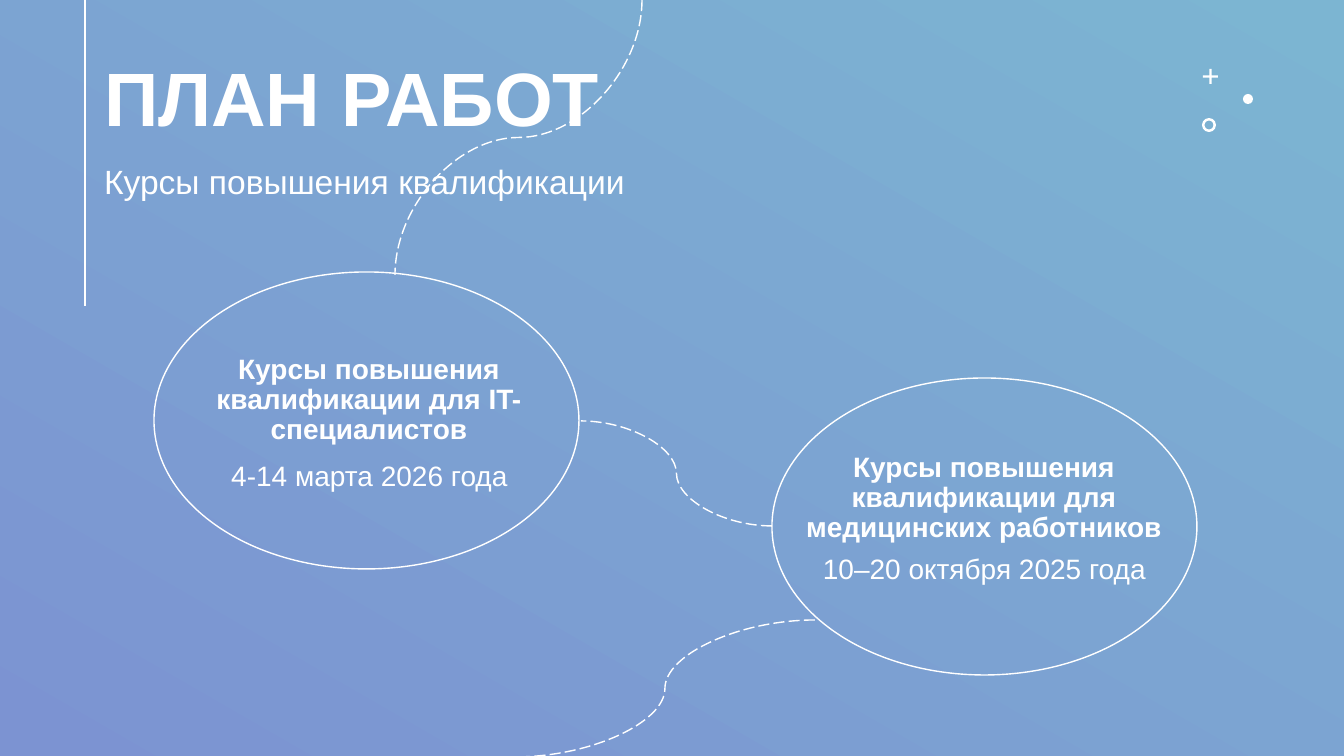
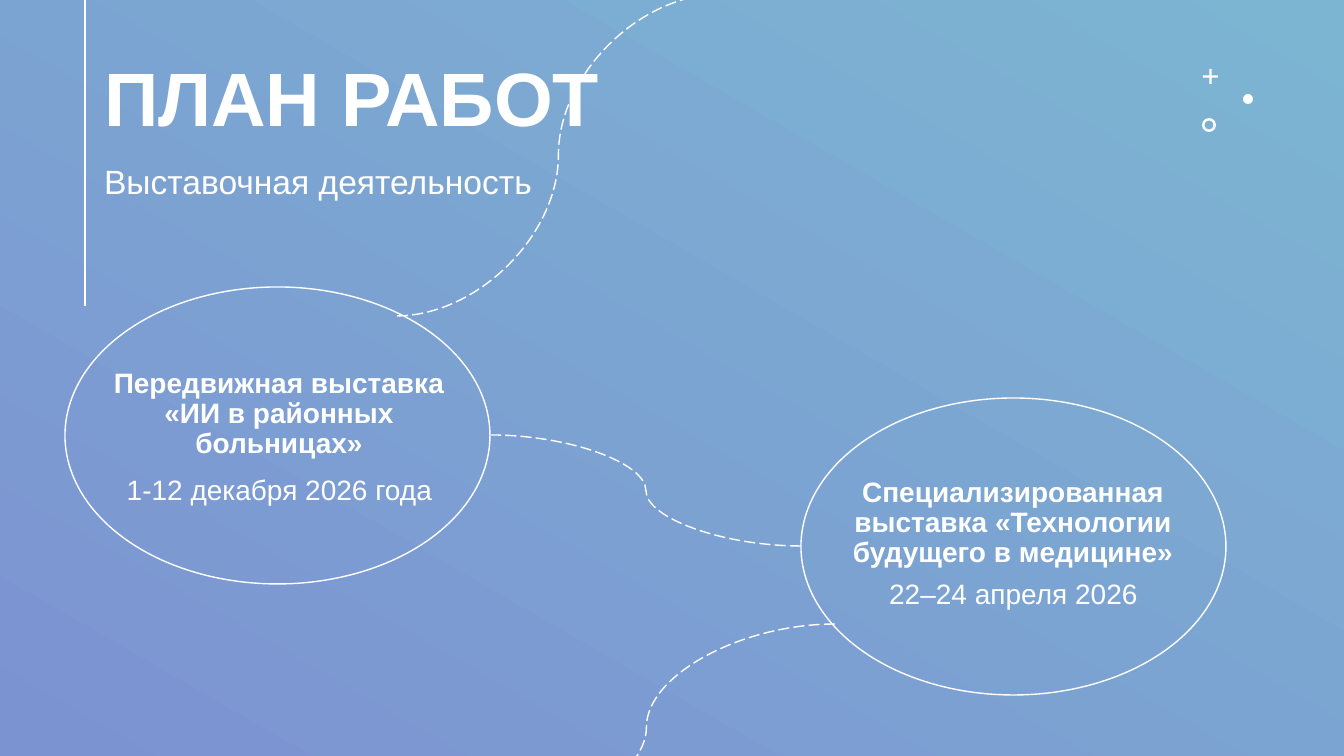
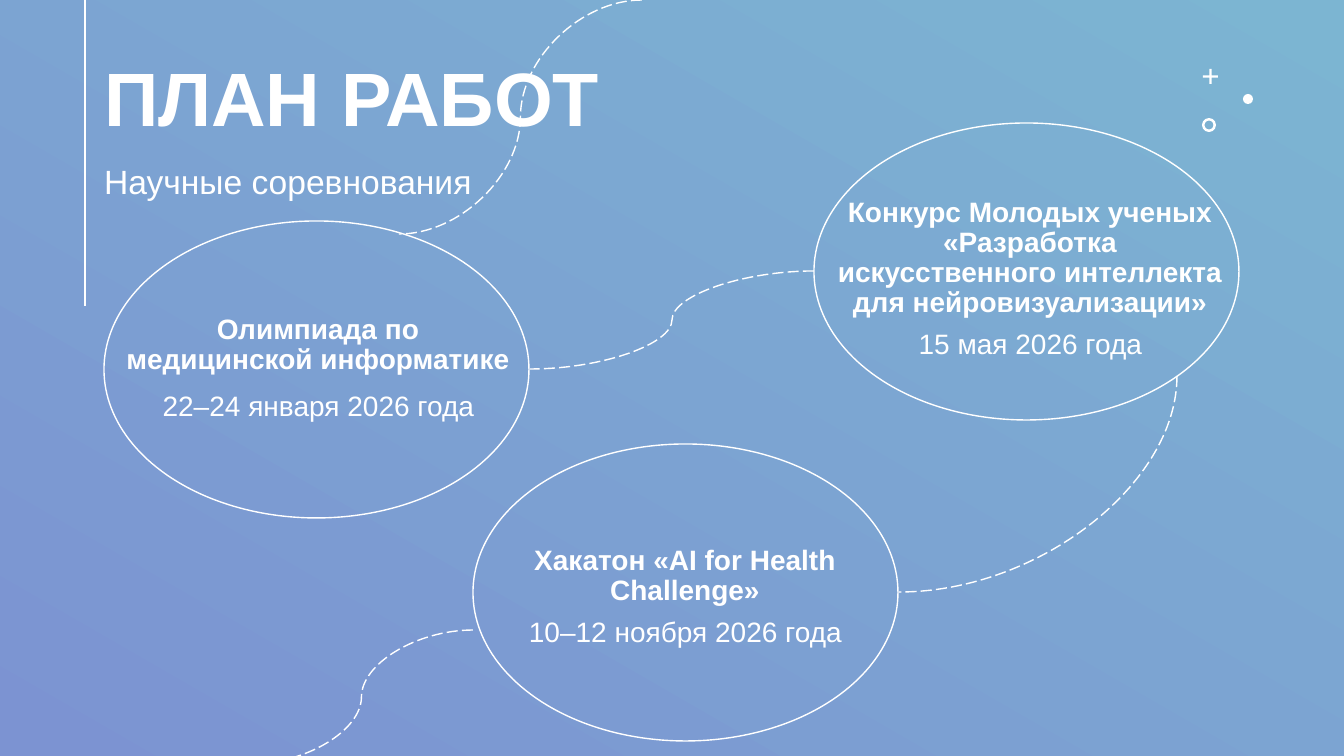
import pptx
import pptx.util
import pptx.dml.color
import pptx.enum.dml
import pptx.enum.shapes
import pptx.enum.text
import pptx.oxml.xmlchemy

PX = 9072
WHITE = "FFFFFF"
OVAL_WIDTH, OVAL_HEIGHT = 425, 297
DATE_HEIGHT, HEADING_HEIGHT = 47, 128
SHAPES = pptx.enum.shapes.MSO_SHAPE
ALIGN = pptx.enum.text.PP_ALIGN
ANCHOR = pptx.enum.text.MSO_ANCHOR
rgb = pptx.dml.color.RGBColor.from_string


def write(box, text, size, bold=False, align=ALIGN.CENTER, spacing=0.9, top=0):
    frame = box.text_frame
    frame_format = {
        "word_wrap": True,
        "auto_size": pptx.enum.text.MSO_AUTO_SIZE.NONE,
        "vertical_anchor": ANCHOR.BOTTOM,
        "margin_left": 0,
        "margin_top": top * PX,
        "margin_right": 0,
        "margin_bottom": 0,
    }
    for name, value in frame_format.items():
        setattr(frame, name, value)
    para = frame.paragraphs[0]
    para_format = {"alignment": align, "line_spacing": spacing, "space_before": 0}
    for name, value in para_format.items():
        setattr(para, name, value)
    span = para.add_run()
    span.text = text
    span_format = {"name": "Arial", "size": pptx.util.Pt(size), "bold": bold}
    for name, value in span_format.items():
        setattr(span.font, name, value)
    span.font.color.rgb = rgb(WHITE)


def draw_connector(page, kind, ends, weight, dash=None):
    connector = page.shapes.add_connector(kind, *[end * PX for end in ends])
    connector.line.color.rgb = rgb(WHITE)
    connector.line.width = pptx.util.Pt(weight)
    connector.line.dash_style = dash
    effects = pptx.oxml.xmlchemy.OxmlElement("a:effectLst")
    connector.element.spPr.append(effects)
    return connector


plans = [
    {
        "subject": "Курсы повышения квалификации",
        "events": [
            (154, 272, 446, 392, 3, "Курсы повышения квалификации для IT-специалистов", "4-14 марта 2026 года"),
            (772, 378, 544, 390, 0, "Курсы повышения квалификации для медицинских работников", "10–20 октября 2025 года"),
        ],
        "curves": [
            (772, 526, 581, 421, None),
            (642, 0, 395, 275, "curvedConnector3"),
            (815, 620, 515, 757, None),
        ],
    },
    {
        "subject": "Выставочная деятельность",
        "events": [
            (65, 287, 460, 374, 2, "Передвижная выставка «ИИ в районных больницах»", "1-12 декабря 2026 года"),
            (801, 398, 569, 390, 0, "Специализированная выставка «Технологии будущего в медицине»", "22–24 апреля 2026"),
        ],
        "curves": [
            (801, 546, 491, 435, None),
            (721, -6, 396, 316, None),
            (835, 624, 458, 830, None),
        ],
    },
    {
        "subject": "Научные соревнования",
        "events": [
            (104, 221, 376, 392, 2, "Олимпиада по медицинской информатике", "22–24 января 2026 года"),
            (814, 123, 319, 390, 4, "Конкурс Молодых ученых «Разработка искусственного интеллекта для нейровизуализации»", "15 мая 2026 года"),
            (473, 444, 607, 390, 0, "Хакатон «AI for Health Challenge»", "10–12 ноября 2026 года"),
        ],
        "curves": [
            (814, 271, 530, 369, None),
            (642, 0, 399, 234, None),
            (473, 630, 250, 764, None),
            (1177, 376, 899, 592, "curvedConnector2"),
        ],
    },
]

deck = pptx.Presentation()
deck.slide_width = 1344 * PX
deck.slide_height = 756 * PX

backdrop = deck.slide_master.background.fill
backdrop.gradient()
backdrop.gradient_angle = 60
for stop, shade in zip(backdrop.gradient_stops, ("7C93D2", "7CB5D2")):
    stop.color.rgb = rgb(shade)

layout = deck.slide_layouts[0]
for holder in list(layout.placeholders)[2:]:
    holder.element.getparent().remove(holder.element)
holder_places = [(104, 36, 1136, 106), (104, 155, 1173, 47)]
for holder, place in zip(layout.placeholders, holder_places):
    for name, value in zip(("left", "top", "width", "height"), place):
        setattr(holder, name, value * PX)

pages = [deck.slides.add_slide(layout) for plan in plans]

ornaments = [
    (SHAPES.OVAL, 1243, 94, 10, None),
    (SHAPES.CROSS, 1203, 69, 15, 0.43),
    (SHAPES.DONUT, 1202, 118, 14, 0.18),
]
for preset, left, top, size, adjustment in ornaments:
    ornament = pages[0].shapes.add_shape(preset, left * PX, top * PX, size * PX, size * PX)
    ornament.shadow.inherit = False
    ornament.fill.solid()
    ornament.fill.fore_color.rgb = rgb(WHITE)
    ornament.line.fill.background()
    if adjustment:
        ornament.adjustments[0] = adjustment
    layout.shapes.element.append(ornament.element)
title_rule = draw_connector(pages[0], pptx.enum.shapes.MSO_CONNECTOR.STRAIGHT, (85, 0, 85, 306), 2)
layout.shapes.element.append(title_rule.element)

for page, plan in zip(pages, plans):
    write(page.shapes.title, "ПЛАН РАБОТ", 54, True, ALIGN.LEFT, pptx.util.Pt(54), 30)
    write(page.placeholders[1], plan["subject"], 24, False, ALIGN.LEFT)

    for index, (left, top, heading_bottom, width, shift, heading, date) in enumerate(plan["events"]):
        oval = page.shapes.add_shape(SHAPES.OVAL, left * PX, top * PX, OVAL_WIDTH * PX, OVAL_HEIGHT * PX)
        oval.shadow.inherit = False
        oval.fill.background()
        oval.line.color.rgb = rgb(WHITE)
        oval.line.width = pptx.util.Pt(1)

        date_bottom = heading_bottom + (42 if index else 47)
        captions = [
            (heading, True, heading_bottom, HEADING_HEIGHT, width),
            (date, False, date_bottom, DATE_HEIGHT, 355),
        ]
        for text, bold, bottom, height, box_width in captions:
            box_left = left + (OVAL_WIDTH - box_width) // 2 + shift
            box = page.shapes.add_textbox(box_left * PX, (bottom - height) * PX, box_width * PX, height * PX)
            write(box, text, 20, bold)

    for x1, y1, x2, y2, turned_preset in plan["curves"]:
        ends = (x1, y1, x2, y2)
        if turned_preset:
            width, height = abs(y2 - y1), abs(x2 - x1)
            left, top = (x1 + x2 - width) // 2, (y1 + y2 - height) // 2
            ends = (left, top, left + width, top + height)
        curve = draw_connector(page, pptx.enum.shapes.MSO_CONNECTOR.CURVE, ends, 1, pptx.enum.dml.MSO_LINE.LONG_DASH)
        if turned_preset:
            curve.element.spPr.xfrm.set("rot", "5400000")
            curve.element.spPr.prstGeom.set("prst", turned_preset)

deck.save("out.pptx")
